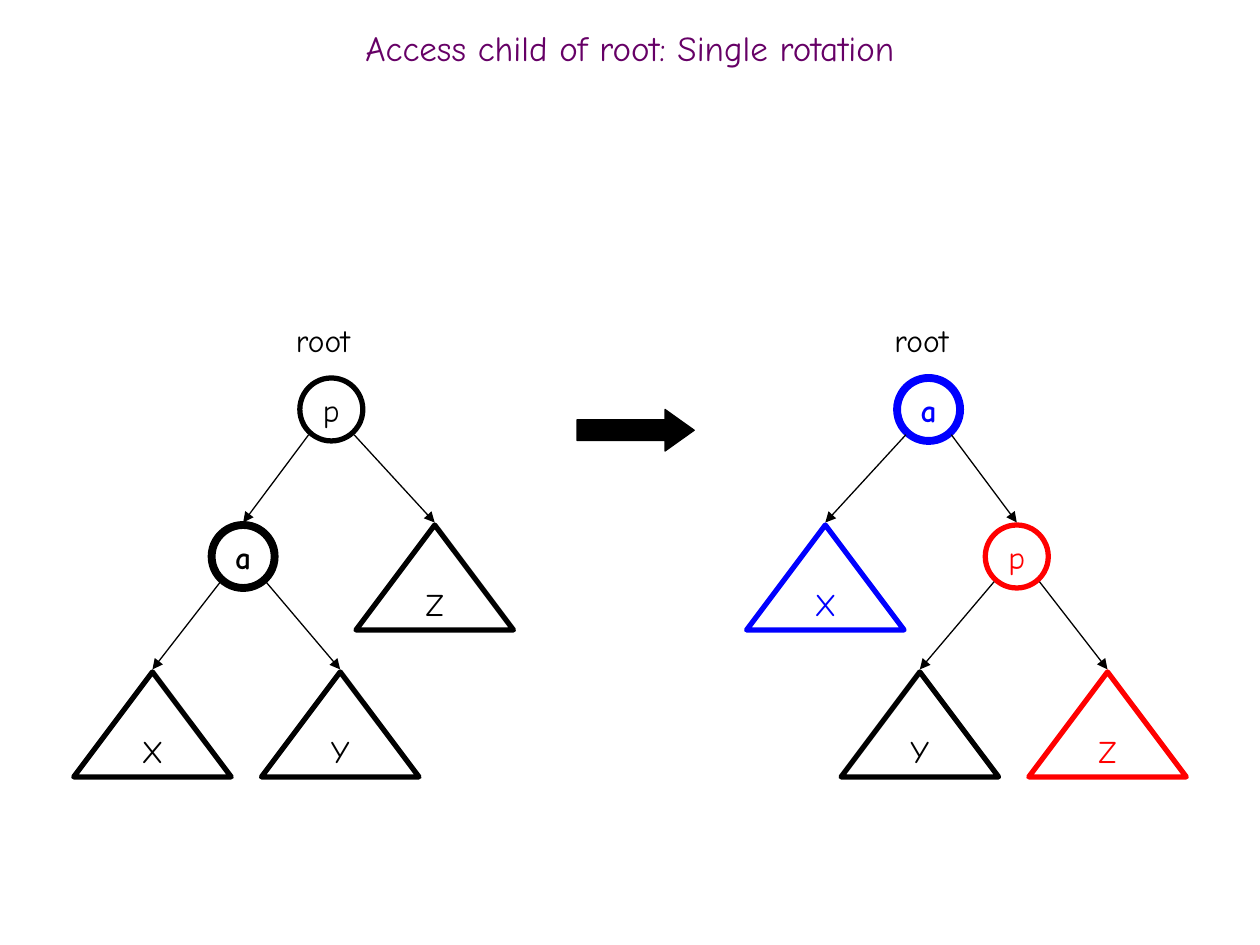
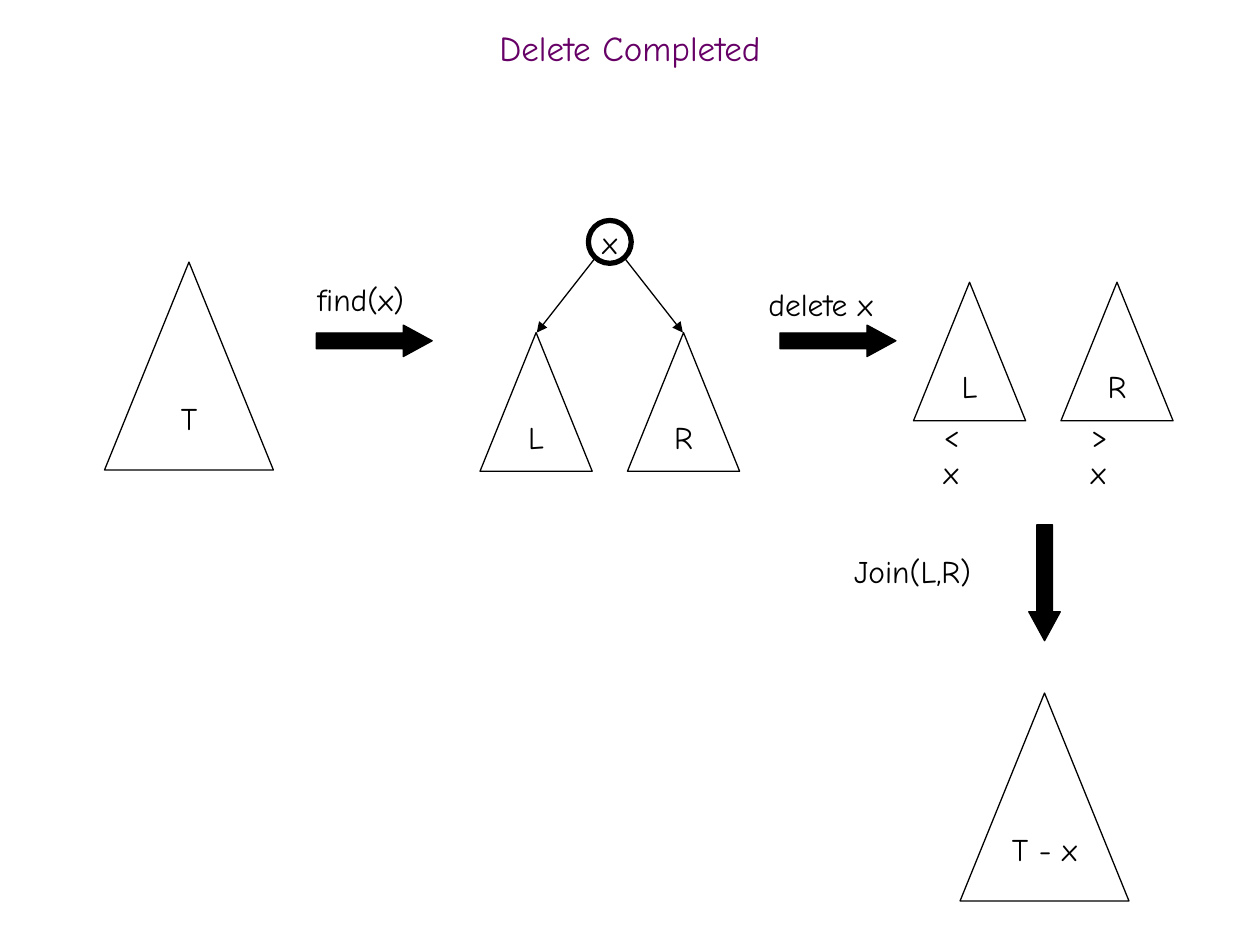
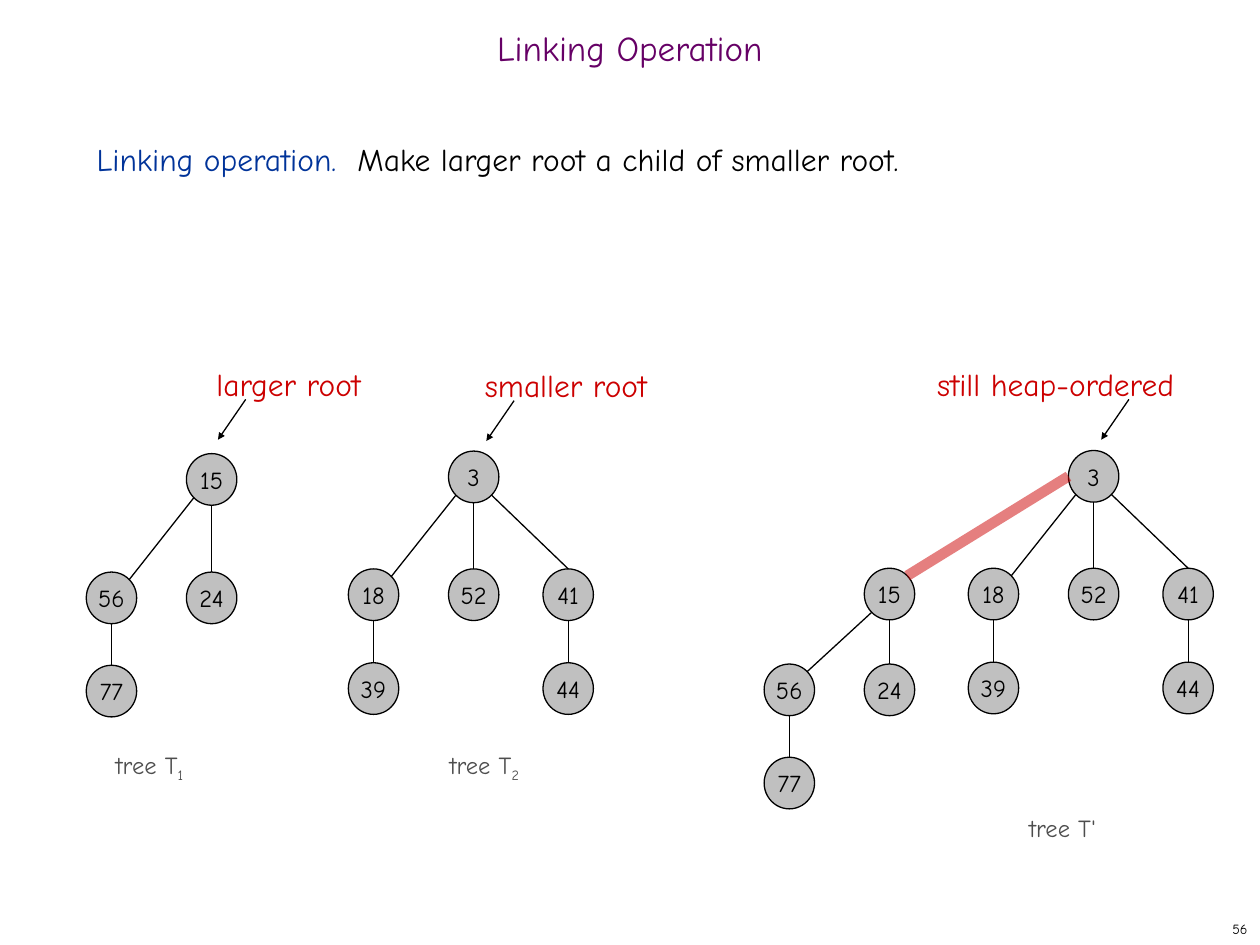
from pptx import Presentation
from pptx import util as u
from pptx.dml import color as col
from pptx.enum import shapes, text
from pptx.oxml import ns
from lxml import etree

HUES = {"ink": "000000", "title": "660066", "blue": "0000FF", "red": "FF0000",
        "lead": "003399", "note": "CC0000", "grey": "4D4D4D", "node": "C0C0C0"}
FONT = "Comic Neue"
KIND = shapes.MSO_SHAPE
ALIGN = text.PP_ALIGN
NODE = (4, 4.1)


class Deck:
    """Draws on the current slide, on a grid of 100 columns and 75 rows."""

    def __init__(self):
        self.prs = Presentation()
        self.prs.slide_width, self.prs.slide_height = u.Inches(10), u.Inches(7.5)
        self.col = self.prs.slide_width / 100
        self.row = self.prs.slide_height / 75

    def box(self, x, y, w, h):
        return (round(x * self.col), round(y * self.row),
                round(w * self.col), round(h * self.row))

    def place(self, item, *box):
        item.left, item.top, item.width, item.height = self.box(*box)

    def rgb(self, hue):
        return col.RGBColor.from_string(HUES[hue])

    def words(self, item, runs, size=18, align=ALIGN.LEFT, wrap=False,
              mid=False, space=None):
        frame = item.text_frame
        frame.word_wrap = wrap
        frame.vertical_anchor = text.MSO_ANCHOR.MIDDLE if mid else text.MSO_ANCHOR.TOP
        para = frame.paragraphs[0]
        para.alignment = align
        para.space_before = u.Pt(0)
        if space:
            para.line_spacing = space
        for words, hue, *marks in runs:
            run = para.add_run()
            run.text = words
            run.font.size, run.font.name = u.Pt(size), FONT
            run.font.color.rgb = self.rgb(hue)
            if "bold" in marks:
                run.font.bold = True
            if "sub" in marks:
                run._r.get_or_add_rPr().set("baseline", "-25000")
        return para

    def page(self, title, body=False):
        self.slide = self.prs.slides.add_slide(self.prs.slide_layouts[1 if body else 5])
        self.shapes = self.slide.shapes
        head = self.shapes.title
        self.place(head, 0, 1.67, 100, 5)
        self.words(head, [(title, "title")], 20, ALIGN.CENTER, True, True, 0.7)
        head.text_frame.auto_size = text.MSO_AUTO_SIZE.NONE

    def body(self, runs):
        item = self.slide.placeholders[1]
        self.place(item, 6.67, 10, 85.8, 59.2)
        para = self.words(item, runs, wrap=True, space=u.Pt(26))
        item.text_frame.auto_size = text.MSO_AUTO_SIZE.NONE
        props = para._p.get_or_add_pPr()
        props.set("marL", "0")
        props.set("indent", "0")
        etree.SubElement(props, ns.qn("a:buNone"))

    def label(self, words, x, y, w, h=4, hue="ink", size=18, sub="", wrap=False):
        item = self.shapes.add_textbox(*self.box(x, y, w, h))
        runs = [(words, hue)] + ([(sub, hue, "sub")] if sub else [])
        self.words(item, runs, size, wrap=wrap)
        item.text_frame.auto_size = text.MSO_AUTO_SIZE.SHAPE_TO_FIT_TEXT

    def number(self, words):
        item = self.shapes.add_textbox(*self.box(79.2, 72.5, 20.8, 2.5))
        self.words(item, [(words, "ink")], 8, ALIGN.RIGHT, mid=True)

    def shape(self, kind, box, hue="ink", wide=0.75, fill=None):
        item = self.shapes.add_shape(kind, *self.box(*box))
        item.shadow.inherit = False
        if fill:
            item.fill.solid()
            item.fill.fore_color.rgb = self.rgb(fill)
        else:
            item.fill.background()
        item.line.color.rgb = self.rgb(hue)
        item.line.width = u.Pt(wide)
        return item

    def ring(self, name, x, y, w=5, h=5, hue="ink", wide=3, bold=False,
             fill=None, size=18):
        """Draws a circle round its centre."""
        item = self.shape(KIND.OVAL, (x - w / 2, y - h / 2, w, h), hue, wide, fill)
        mark = ["bold"] if bold else []
        self.words(item, [(name, hue, *mark)], size, ALIGN.CENTER, mid=True)

    def tri(self, name, x, y, w=12.5, h=8.33, hue="ink", wide=3):
        """Draws a triangle below its apex."""
        item = self.shape(KIND.ISOSCELES_TRIANGLE, (x - w / 2, y, w, h), hue, wide)
        self.words(item, [(name, hue)], align=ALIGN.CENTER, mid=True)

    def arrow(self, x, y, w=9.2, h=2.5, tip=0.917, turn=0):
        item = self.shape(KIND.RIGHT_ARROW, (x, y, w, h), fill="ink")
        item.adjustments[1] = tip
        item.rotation = turn

    def line(self, x, y, to_x, to_y, hue="ink", wide=0.75, tip=None, alpha=None):
        ends = self.box(x, y, to_x, to_y)
        item = self.shapes.add_connector(shapes.MSO_CONNECTOR.STRAIGHT, *ends)
        item.line.color.rgb = self.rgb(hue)
        item.line.width = u.Pt(wide)
        props = item._element.spPr
        if alpha:
            tint = props.find(".//" + ns.qn("a:srgbClr"))
            etree.SubElement(tint, ns.qn("a:alpha"), val=str(alpha * 1000))
        if tip:
            etree.SubElement(props.find(ns.qn("a:ln")), ns.qn("a:tailEnd"),
                             type="triangle", w=tip, len=tip)
        etree.SubElement(props, ns.qn("a:effectLst"))

    def fork(self, x, y, size, *kids):
        """Points from a circle to the tops of its children."""
        for kid_x, kid_y in kids:
            side = 1 if kid_x > x else -1
            self.line(x + side * 0.36 * size, y + 0.4 * size, kid_x, kid_y, tip="med")

    def heap(self, nodes, edges):
        for name, spot in nodes.items():
            self.ring(name, *spot, *NODE, wide=0.75, fill="node", size=14)
        off_x, off_y = (0.35 * size for size in NODE)
        half = NODE[1] / 2
        for top, kid in edges:
            (x, y), (kid_x, kid_y) = nodes[top], nodes[kid]
            if kid_x < x:
                self.line(x - off_x, y + off_y, kid_x + off_x, kid_y - off_y)
            elif kid_x > x:
                self.line(x + off_x, y + off_y, kid_x, kid_y - half)
            else:
                self.line(x, y + half, kid_x, kid_y - half)

    def small(self, x, y, drop):
        low, deep = y + drop, y + drop + 7.4
        self.heap({"15": (x, y), "56": (x - 7.95, low), "24": (x, low),
                   "77": (x - 7.95, deep)},
                  [("15", "56"), ("15", "24"), ("56", "77")])

    def large(self, x, y):
        low, deep = y + 9.35, y + 16.8
        left, right = x - 7.95, x + 7.5
        self.heap({"3": (x, y), "18": (left, low), "52": (x, low), "41": (right, low),
                   "39": (left, deep), "44": (right, deep)},
                  [("3", "18"), ("3", "52"), ("3", "41"), ("18", "39"), ("41", "44")])

    def hint(self, words, x, y, w, tip_x):
        self.label(words, x, y, w, hue="note")
        self.line(tip_x + 2.2, y + 3.2, tip_x, y + 6.4, tip="sm")


deck = Deck()

deck.page("Access child of root: Single rotation")
HIGH, MID, LOW = 32.5, 41.67, 53.33
SUB = MID + 2.5
deck.ring("p", 26.3, HIGH)
deck.ring("a", 19.3, SUB, wide=4.5, bold=True)
deck.fork(26.3, HIGH, 5, (19.3, MID - 0.2), (34.5, MID - 0.2))
deck.fork(19.3, SUB, 5, (12.1, LOW - 0.2), (27, LOW - 0.2))
for name, x, y in [("X", 12.1, LOW), ("Y", 27, LOW), ("Z", 34.5, MID)]:
    deck.tri(name, x, y)
deck.arrow(45.8, 32.5, 9.3, 3.3, 0.701)
deck.ring("a", 73.7, HIGH, hue="blue", wide=4.5, bold=True)
deck.ring("p", 80.7, SUB, hue="red")
deck.fork(73.7, HIGH, 5, (80.7, MID - 0.2), (65.5, MID - 0.2))
deck.fork(80.7, SUB, 5, (87.9, LOW - 0.2), (73, LOW - 0.2))
for name, x, y, hue in [("Z", 87.9, LOW, "red"), ("Y", 73, LOW, "ink"),
                        ("X", 65.5, MID, "blue")]:
    deck.tri(name, x, y, hue=hue)
for x in (22.5, 70):
    deck.label("root", x, 25, 7.1)

deck.page("Delete Completed")
for name, x, y in [("T", 15, 20.8), ("T - x", 82.9, 55)]:
    deck.tri(name, x, y, 13.4, 16.5, wide=0.75)
for start, y in [(42.55, 26.4), (76.95, 22.4)]:
    for step, name in enumerate("LR"):
        deck.tri(name, start + 11.7 * step, y, 8.9, 11, wide=0.75)
deck.ring("x", 48.4, 19.2, 3.4, 3.4)
deck.fork(48.4, 19.2, 3.4, (42.6, 26.4), (54.2, 26.4))
for x, y, turn in [(25.1, 25.8, 0), (61.9, 25.8, 0), (78.3, 45, 90)]:
    deck.arrow(x, y, turn=turn)
for words, x, y, w in [("find(x)", 24.2, 21.7, 10.2), ("delete x", 60, 22.1, 11.8),
                       ("Join(L,R)", 66.8, 43.3, 12.6)]:
    deck.label(words, x, y, w)
for words, x in [("< x", 73.9), ("> x", 85.6)]:
    deck.label(words, x, 32.5, 5.2, wrap=True)

deck.page("Linking Operation", body=True)
deck.body([("Linking operation.  ", "lead"),
           ("Make larger root a child of smaller root.", "ink")])
deck.number("56")
deck.small(16.8, 38.05, 9.4)
deck.large(37.6, 37.85)
deck.large(86.8, 37.8)
deck.small(70.6, 47.15, 7.6)
deck.line(72, 45.7, 84.8, 37.8, hue="note", wide=6, alpha=50)
for words, x, y, w, sub in [("tree T", 8.2, 59, 8.5, "1"), ("tree T", 34.7, 59, 8.8, "2"),
                            ("tree T'", 80.7, 64, 8.7, "")]:
    deck.label(words, x, y, w, 3.4, "grey", 14, sub)
for words, x, y, w, tip_x in [("larger root", 16.2, 28.5, 15, 17.3),
                              ("smaller root", 37.5, 28.6, 16.3, 38.6),
                              ("still heap-ordered", 73.4, 28.5, 23.3, 87.4)]:
    deck.hint(words, x, y, w, tip_x)

deck.prs.save("out.pptx")
